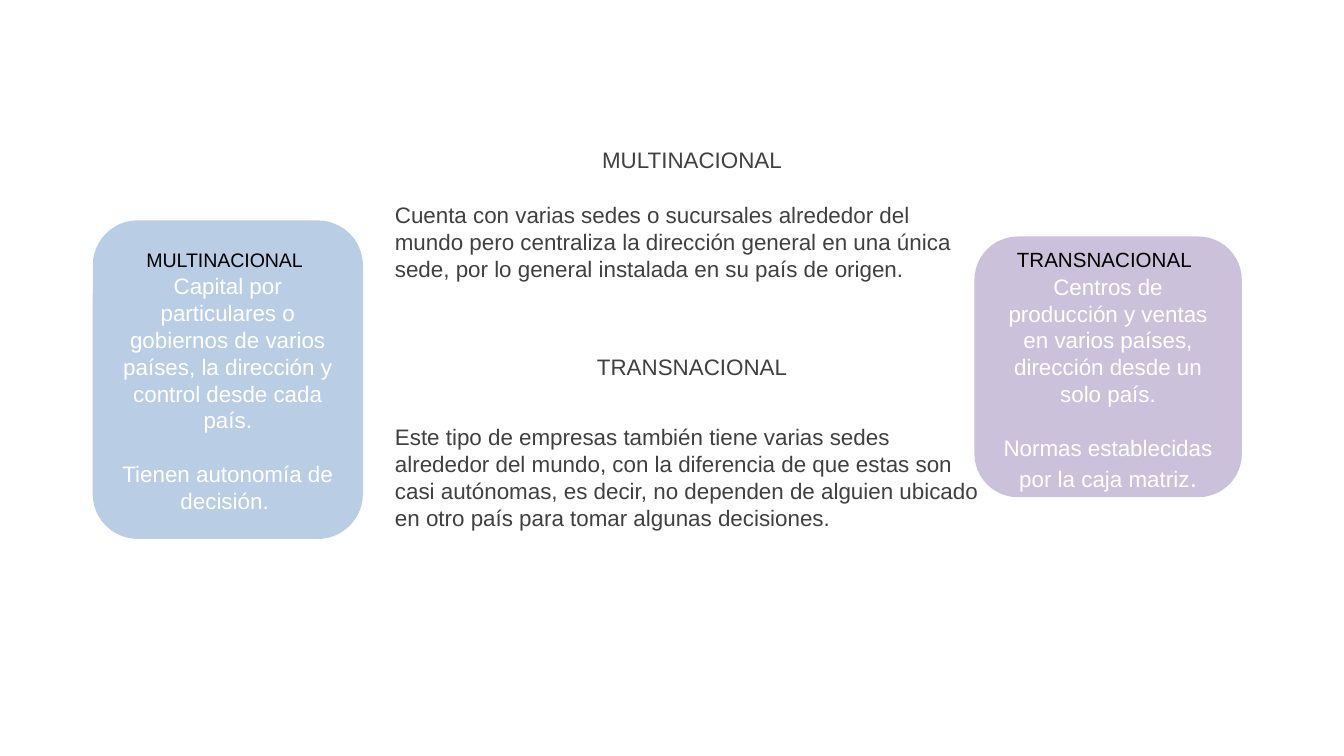
from pptx import Presentation
from pptx.dml.color import RGBColor
from pptx.enum.shapes import MSO_SHAPE
from pptx.enum.text import MSO_ANCHOR, MSO_AUTO_SIZE, PP_ALIGN
from pptx.util import Inches, Pt

COLORS = {
    "body": "404040",
    "heading": "000000",
    "light": "FFFFFF",
    "blue": "B9CDE5",
    "lilac": "CCC1DA",
}
FONT = "Arial"


def add_text(paragraph, text, size=12, color="body"):
    run = paragraph.add_run()
    run.text = text
    run.font.name = FONT
    run.font.size = Pt(size)
    run.font.color.rgb = RGBColor.from_string(COLORS[color])


class SlideBuilder:
    def __init__(self, slide):
        self.slide = slide

    def text_box(self, text, left, top, width, height, align=PP_ALIGN.LEFT):
        box = self.slide.shapes.add_textbox(
            Inches(left), Inches(top), Inches(width), Inches(height))
        frame = box.text_frame
        frame.word_wrap = True
        frame.auto_size = MSO_AUTO_SIZE.SHAPE_TO_FIT_TEXT
        paragraph = frame.paragraphs[0]
        paragraph.alignment = align
        add_text(paragraph, text)

    def card(self, paragraphs, fill, left, top, width, height):
        """Each paragraph is a list of (text, size, color) runs."""
        shape = self.slide.shapes.add_shape(
            MSO_SHAPE.ROUNDED_RECTANGLE,
            Inches(left), Inches(top), Inches(width), Inches(height))
        shape.shadow.inherit = False
        shape.fill.solid()
        shape.fill.fore_color.rgb = RGBColor.from_string(COLORS[fill])
        shape.line.fill.background()
        frame = shape.text_frame
        frame.word_wrap = True
        frame.vertical_anchor = MSO_ANCHOR.MIDDLE
        for index, runs in enumerate(paragraphs):
            paragraph = frame.add_paragraph() if index else frame.paragraphs[0]
            paragraph.alignment = PP_ALIGN.CENTER
            for text, size, color in runs:
                add_text(paragraph, text, size=size, color=color)
        # One line of air above the closing remark
        frame.paragraphs[-1].space_before = Pt(14.4)


def main():
    presentation = Presentation()
    presentation.slide_width = Inches(10)
    presentation.slide_height = Inches(10 * 9 / 16)
    slide = presentation.slides.add_slide(presentation.slide_layouts[6])
    builder = SlideBuilder(slide)

    # Central definitions
    builder.text_box("MULTINACIONAL ", 3.99, 1.04, 2.36, 0.3, PP_ALIGN.CENTER)
    builder.text_box(
        "Cuenta con varias sedes o sucursales alrededor del mundo pero "
        "centraliza la dirección general en una única sede, por lo general "
        "instalada en su país de origen.", 2.84, 1.45, 4.46, 0.91)
    builder.text_box("TRANSNACIONAL ", 4.11, 2.58, 2.12, 0.3, PP_ALIGN.CENTER)
    builder.text_box(
        "Este tipo de empresas también tiene varias sedes alrededor del "
        "mundo, con la diferencia de que estas son casi autónomas, es decir, "
        "no dependen de alguien ubicado en otro país para tomar algunas "
        "decisiones.", 2.84, 3.1, 4.55, 0.91)

    # Side cards
    builder.card([
        [("TRANSNACIONAL", 11, "heading"), (" ", 14, "light")],
        [("Centros de producción y ventas en varios países, dirección desde "
          "un solo país.", 12, "light")],
        [("Normas establecidas por la caja matriz", 12, "light"),
         (".", 14, "light")],
    ], "lilac", 7.25, 1.76, 1.99, 1.94)
    builder.card([
        [("MULTINACIONAL", 10.5, "heading"), (" ", 12, "light")],
        [("Capital por particulares o gobiernos de varios países, la "
          "dirección y control desde cada país.", 12, "light")],
        [("Tienen autonomía de decisión. ", 12, "light")],
    ], "blue", 0.69, 1.64, 2.01, 2.37)

    presentation.save("out.pptx")


if __name__ == "__main__":
    main()
